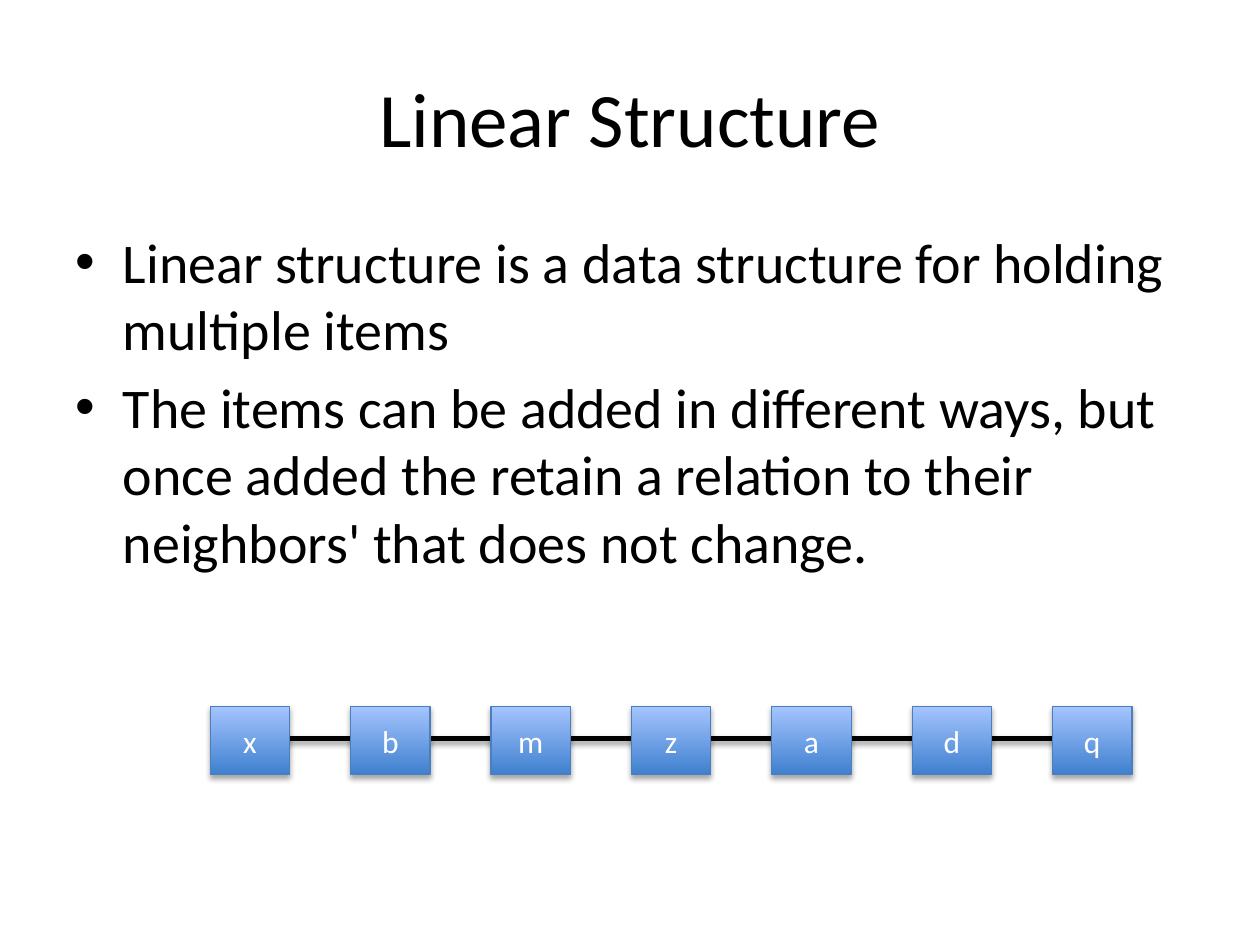
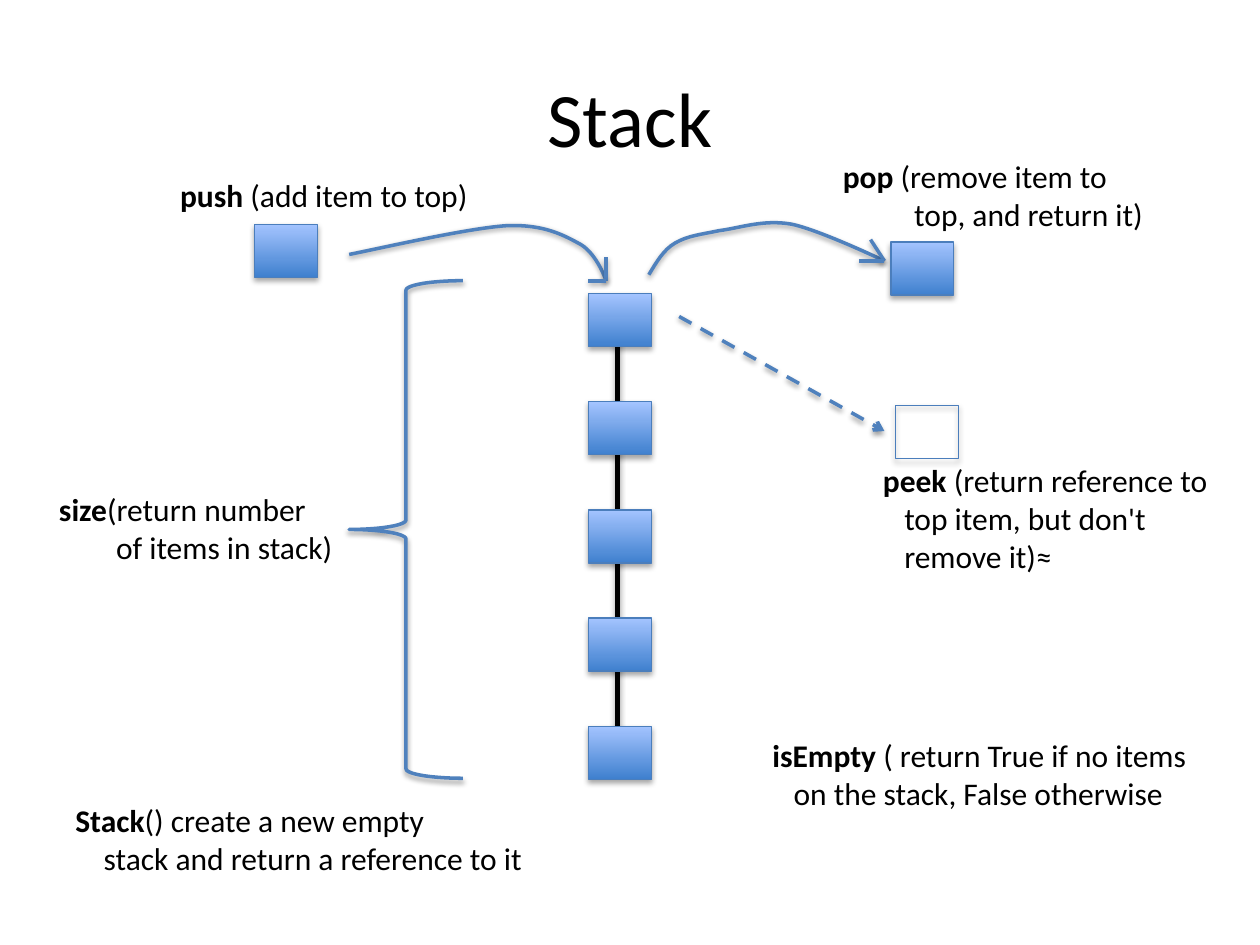
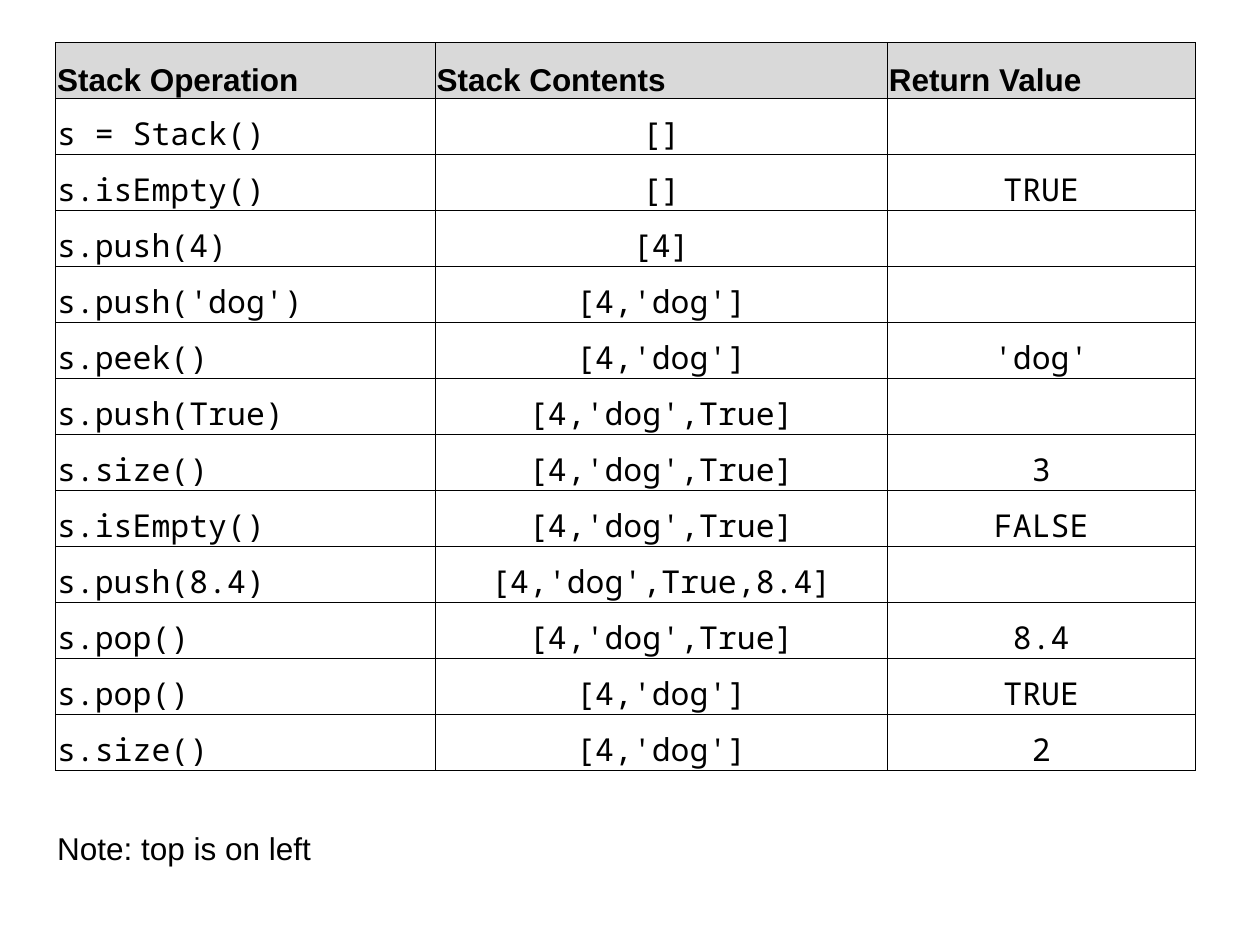
"""Build three slides on linear structures and the stack."""
import lxml.etree
import pptx
import pptx.dml.color
import pptx.enum.dml
import pptx.enum.shapes
import pptx.enum.text
import pptx.oxml.ns
import pptx.util

Cm = pptx.util.Cm
Pt = pptx.util.Pt
qn = pptx.oxml.ns.qn
ALIGN = pptx.enum.text.PP_ALIGN
ANCHOR = pptx.enum.text.MSO_ANCHOR
SHAPE = pptx.enum.shapes.MSO_SHAPE

COLORS = {
    "text": "000000",
    "label": "FFFFFF",
    "deep": "3F80CE",
    "light": "A4C4FF",
    "edge": "4B7EBC",
    "accent": "4F81BD",
    "header": "D9D9D9",
}
FONT, HEAD_FONT, CODE_FONT = "Calibri", "Arial", "Noto Sans Mono"
NO_GRID = "{2D5ABB26-0587-4C30-8999-92F81FD0307C}"

OPERATIONS = [
    ("Stack Operation", "Stack Contents", "Return Value"),
    ("s = Stack()", "[]", ""),
    ("s.isEmpty()", "[]", "TRUE"),
    ("s.push(4)", "[4]", ""),
    ("s.push('dog')", "[4,'dog']", ""),
    ("s.peek()", "[4,'dog']", "'dog'"),
    ("s.push(True)", "[4,'dog',True]", ""),
    ("s.size()", "[4,'dog',True]", "3"),
    ("s.isEmpty()", "[4,'dog',True]", "FALSE"),
    ("s.push(8.4)", "[4,'dog',True,8.4]", ""),
    ("s.pop()", "[4,'dog',True]", "8.4"),
    ("s.pop()", "[4,'dog']", "TRUE"),
    ("s.size()", "[4,'dog']", "2"),
]
NOTE = "Note: top is on left"


def rgb(name):
    """Return the named colour."""
    return pptx.dml.color.RGBColor.from_string(COLORS[name])


def sub(parent, tag, **attrs):
    """Append an XML child with the given attributes."""
    return lxml.etree.SubElement(parent, qn(tag), attrs)


def add_run(p, text, size=18, font=FONT, color="text", bold=False):
    """Append a formatted run to a paragraph."""
    r = p.add_run()
    r.text = text
    r.font.size = Pt(size)
    r.font.name = font
    r.font.bold = bold
    r.font.color.rgb = rgb(color)


def style_line(sp, color, width, alpha=38, dist=20000):
    """Set the outline of a shape or connector and its soft shadow."""
    sp.line.color.rgb = rgb(color)
    sp.line.width = Pt(width)
    effects = sub(sp._element.spPr, "a:effectLst")
    shadow = sub(effects, "a:outerShdw", blurRad="40000", dist=str(dist),
                 dir="5400000", rotWithShape="0")
    sub(sub(shadow, "a:srgbClr", val=COLORS["text"]), "a:alpha", val=str(alpha * 1000))


def add_line(s, x1, y1, x2, y2, color="accent", width=2, **shadow):
    """Draw a straight line."""
    kind = pptx.enum.shapes.MSO_CONNECTOR.STRAIGHT
    line = s.shapes.add_connector(kind, Cm(x1), Cm(y1), Cm(x2), Cm(y2))
    style_line(line, color, width, **shadow)
    return line


def add_node(s, x, y, w=1.27, h=1.07, label="", filled=True):
    """Draw one item of a structure."""
    sp = s.shapes.add_shape(SHAPE.RECTANGLE, Cm(x), Cm(y), Cm(w), Cm(h))
    if filled:
        sp.fill.gradient()
        sp.fill.gradient_angle = 90
        for stop, position, name in zip(sp.fill.gradient_stops, (0, 1), ("deep", "light")):
            stop.position = position
            stop.color.rgb = rgb(name)
    else:
        sp.fill.background()
    style_line(sp, "edge", 0.75, alpha=35, dist=23000)
    if label:
        tf = sp.text_frame
        tf.vertical_anchor = ANCHOR.MIDDLE
        p = tf.paragraphs[0]
        p.alignment = ALIGN.CENTER
        add_run(p, label, color="label")


def add_chain(s, x, y, w, h, labels, dx=0, dy=0):
    """Draw linked items, each one step from the last."""
    x1, y1 = x + 0.46 * w, y + 0.46 * h
    last = len(labels) - 1
    add_line(s, x1, y1, x1 + last * dx, y1 + last * dy, "text", 3, alpha=35, dist=23000)
    for i, label in enumerate(labels):
        add_node(s, x + i * dx, y + i * dy, w, h, label)


def add_curved_arrow(s, x, y, points, barbs):
    """Draw Bezier curves from a start point, with two barbs at the end."""
    builder = s.shapes.build_freeform(Cm(x), Cm(y))
    builder.add_line_segments([(Cm(x + dx), Cm(y + dy)) for dx, dy in points], close=False)
    sp = builder.convert_to_shape()
    segments = sp._element.xpath(".//a:lnTo")
    for i in range(0, len(segments), 3):
        curve = lxml.etree.Element(qn("a:cubicBezTo"))
        segments[i].addprevious(curve)
        for segment in segments[i:i + 3]:
            curve.append(segment[0])
            segment.getparent().remove(segment)
    sp.fill.background()
    style_line(sp, "accent", 2)
    tip_x, tip_y = x + points[-1][0], y + points[-1][1]
    for dx, dy in barbs:
        add_line(s, tip_x, tip_y, tip_x + dx, tip_y + dy)


def add_label(s, x, y, w, h, name, lines, hang=0):
    """Write a bold name and its description, later lines indented."""
    tf = s.shapes.add_textbox(Cm(x), Cm(y), Cm(w), Cm(h)).text_frame
    tf.word_wrap = True
    tf.margin_right = 0
    p = tf.paragraphs[0]
    pPr = p._p.get_or_add_pPr()
    pPr.set("marL", str(Cm(hang)))
    pPr.set("indent", str(-Cm(hang)))
    add_run(p, name, bold=True)
    for i, line in enumerate(lines):
        if i:
            p.add_line_break()
        add_run(p, line)


def place(sp, x, y, w, h):
    """Move a placeholder to a box."""
    sp.left, sp.top, sp.width, sp.height = Cm(x), Cm(y), Cm(w), Cm(h)


def add_title(s, text):
    """Fill the title placeholder."""
    place(s.shapes.title, 1.27, 0.76, 22.86, 3.18)
    tf = s.shapes.title.text_frame
    tf.vertical_anchor = ANCHOR.MIDDLE
    p = tf.paragraphs[0]
    p.alignment = ALIGN.CENTER
    add_run(p, text, 44)


def add_bullets(s, x, y, w, h, items):
    """Fill the body placeholder with a list."""
    sp = s.placeholders[1]
    place(sp, x, y, w, h)
    tf = sp.text_frame
    for i, item in enumerate(items):
        p = tf.add_paragraph() if i else tf.paragraphs[0]
        add_run(p, item, 32)


def add_push(s, x, y):
    """Draw the push operation."""
    add_label(s, x, y, 6.35, 1.02, "push", [" (add item to top)"])
    add_node(s, x + 1.75, y + 1.09)
    add_curved_arrow(s, x + 3.66, y + 1.7, [
        (0.66, -0.13), (2.39, -0.53), (3.18, -0.58),
        (3.94, -0.61), (4.34, -0.38), (4.67, -0.2),
        (5, 0), (5.18, 0.53), (5.18, 0.53),
    ], [(0, -0.48), (-0.36, 0)])


def add_pop(s, x, y):
    """Draw the pop operation."""
    add_label(s, x + 3.66, y, 6.63, 1.8, "pop ",
              ["(remove item to", "top, and return it)"], 1.44)
    add_curved_arrow(s, x, y + 2.49, [
        (0.15, -0.25), (0.3, -0.51), (0.53, -0.64),
        (0.79, -0.79), (1.04, -0.81), (1.42, -0.89),
        (1.83, -0.94), (2.31, -1.12), (2.87, -1.02),
        (3.43, -0.91), (4.75, -0.28), (4.75, -0.28),
    ], [(-0.28, -0.43), (-0.51, 0)])
    add_node(s, x + 4.88, y + 1.83)


def add_peek(s, x, y):
    """Draw the peek operation."""
    line = add_line(s, x, y, x + 4.14, y + 2.31)
    line.line.dash_style = pptx.enum.dml.MSO_LINE.DASH
    sub(line.line._get_or_add_ln(), "a:tailEnd", type="arrow")
    add_node(s, x + 4.37, y + 1.8, filled=False)
    add_label(s, x + 3.86, y + 2.79, 7.16, 2.57, "peek ",
              ["(return reference to", "top item, but don't", "remove it)≈"], 0.43)


def add_size(s, x, y):
    """Draw the size operation."""
    sp = s.shapes.add_shape(SHAPE.LEFT_BRACE, Cm(x + 6.1), Cm(y), Cm(2.29), Cm(10.03))
    sp.fill.background()
    style_line(sp, "accent", 2)
    add_label(s, x, y + 4.09, 6.1, 1.8, "size",
              ["(return number", "of items in stack)"], 1.15)


def format_cell(cell, text, font, align, bordered, fill=None):
    """Write one table cell with its borders and fill."""
    cell.margin_left = cell.margin_right = cell.margin_top = Cm(0.03)
    cell.margin_bottom = 0
    cell.vertical_anchor = ANCHOR.BOTTOM
    if bordered:
        tcPr = cell._tc.get_or_add_tcPr()
        for side in "LRTB":
            ln = sub(tcPr, "a:ln" + side, w=str(Pt(0.5)))
            sub(sub(ln, "a:solidFill"), "a:srgbClr", val=COLORS["text"])
    if fill:
        cell.fill.solid()
        cell.fill.fore_color.rgb = rgb(fill)
    else:
        cell.fill.background()
    if text:
        p = cell.text_frame.paragraphs[0]
        p.alignment = align
        add_run(p, text, font=font, bold=bool(fill))


def add_operations(s, x, y, widths, row_h, gap_h):
    """Draw the table of operations, with a note in its last row."""
    rows = OPERATIONS + [("", "", ""), (NOTE, "", "")]
    heights = [row_h] * len(OPERATIONS) + [gap_h, row_h]
    frame = s.shapes.add_table(len(rows), len(widths), Cm(x), Cm(y),
                               Cm(sum(widths)), Cm(sum(heights)))
    table = frame.table
    table.first_row = table.horz_banding = False
    table._tbl.tblPr.find(qn("a:tableStyleId")).text = NO_GRID
    for column, width in zip(table.columns, widths):
        column.width = Cm(width)
    for i, texts in enumerate(rows):
        table.rows[i].height = Cm(heights[i])
        header, bordered = i == 0, i < len(OPERATIONS)
        font = CODE_FONT if bordered and not header else HEAD_FONT
        for j, text in enumerate(texts):
            align = ALIGN.CENTER if j and not header else ALIGN.LEFT
            format_cell(table.cell(i, j), text, font, align, bordered,
                        "header" if header else None)


def linear_slide(prs):
    """Build the slide that defines a linear structure."""
    s = prs.slides.add_slide(prs.slide_layouts[1])
    add_title(s, "Linear Structure")
    add_bullets(s, 1.27, 4.45, 22.86, 12.57, [
        "Linear structure is a data structure for holding multiple items",
        "The items can be added in different ways, but once added the retain "
        "a relation to their neighbors' that does not change.",
    ])
    add_chain(s, 4.24, 14.25, 1.6, 1.37, "xbmzadq", dx=2.83)


def stack_slide(prs):
    """Build the slide that shows the stack and its operations."""
    s = prs.slides.add_slide(prs.slide_layouts[5])
    add_title(s, "Stack")
    add_chain(s, 11.86, 5.92, 1.27, 1.07, [""] * 5, dy=2.18)
    add_push(s, 3.38, 3.43)
    add_pop(s, 13.08, 3.05)
    add_size(s, 0.94, 5.66)
    add_peek(s, 13.69, 6.38)
    add_label(s, 15.32, 14.71, 8.92, 1.8, "isEmpty ",
              ["( return True if no items", "on the stack, False otherwise"], 0.43)
    add_label(s, 1.27, 16.03, 9.68, 1.8, "Stack",
              ["() create a new empty", "stack and return a reference to it"], 0.57)


def operations_slide(prs):
    """Build the slide that traces stack operations."""
    s = prs.slides.add_slide(prs.slide_layouts[6])
    add_operations(s, 1.12, 0.86, (7.65, 9.12, 6.2), 1.13, 0.77)


def main():
    """Build and save the presentation."""
    prs = pptx.Presentation()
    prs.slide_width, prs.slide_height = Cm(25.4), Cm(19.05)
    linear_slide(prs)
    stack_slide(prs)
    operations_slide(prs)
    prs.save("out.pptx")


main()
